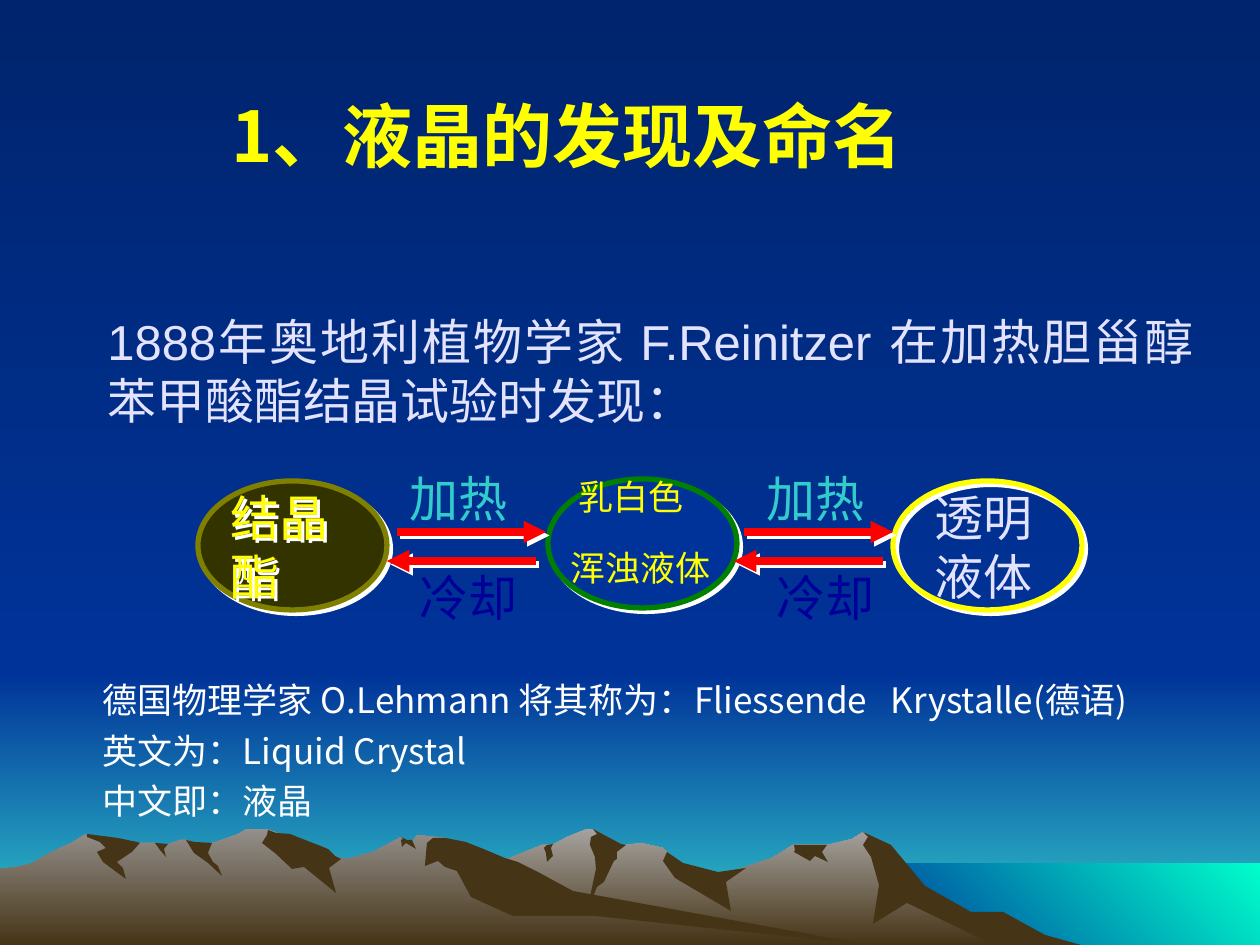
from lxml import etree
from pptx import Presentation
from pptx.dml.color import RGBColor
from pptx.enum.shapes import MSO_CONNECTOR, MSO_SHAPE
from pptx.enum.text import MSO_ANCHOR, MSO_AUTO_SIZE, PP_ALIGN
from pptx.oxml.ns import qn
from pptx.util import Pt

PX = 914400 / 126
RECTANGLE, OVAL = MSO_SHAPE.RECTANGLE, MSO_SHAPE.OVAL
STRAIGHT = MSO_CONNECTOR.STRAIGHT
LEFT, CENTER, JUSTIFY = PP_ALIGN.LEFT, PP_ALIGN.CENTER, PP_ALIGN.JUSTIFY
THEME = {
    "night": "001847", "sky": "00246D", "blue": "003399", "teal": "33CCCC",
    "sea": "00FFCC", "peak": "A5A29F", "near_peak": "938F8B", "earth": "463416",
    "yellow": "FFFF00", "pale": "E3E3FF", "white": "FFFFFF", "red": "FF0000",
    "navy": "000099", "olive": "808000", "dark_olive": "333300", "green": "008000",
    "sans": "Arial", "cjk": "Noto Sans CJK SC",
    "title": 40, "large": 28, "small": 20,
}
COLOR = {key: RGBColor.from_string(value) for key, value in THEME.items()
         if isinstance(value, str) and len(value) == 6}


def write(holder, box, lines, size, color, font="sans", align=LEFT, gap=0, bold=False):
    """Place a text holder at box (px) and fill it with equally styled paragraphs."""
    holder.left, holder.top, holder.width, holder.height = [round(v * PX) for v in box]
    frame = holder.text_frame
    frame.word_wrap = True
    frame.auto_size = MSO_AUTO_SIZE.NONE
    frame.text = "\n".join(lines)
    for number, paragraph in enumerate(frame.paragraphs):
        properties = paragraph._p.get_or_add_pPr()
        properties.set("marL", "0")
        properties.set("indent", "0")
        paragraph.alignment = align
        paragraph.space_before = Pt(gap if number else 0)
        etree.SubElement(properties, qn("a:buNone"))
        paragraph.font.name = THEME[font]
        paragraph.font.size = Pt(THEME[size])
        paragraph.font.bold = bold
        paragraph.font.color.rgb = COLOR[color]
        east_asian = etree.SubElement(paragraph.font._rPr, qn("a:ea"))
        east_asian.set("typeface", THEME["cjk"])
    return holder


def cast_shadow(item):
    """Give a shape or connector a hard white shadow to the lower right."""
    properties = item._element.spPr
    effects = properties.find(qn("a:effectLst"))
    if effects is None:
        effects = etree.SubElement(properties, qn("a:effectLst"))
    shadow = etree.SubElement(effects, qn("a:outerShdw"), blurRad="0",
                              dist=str(Pt(2.8)), dir="2700000", algn="ctr", rotWithShape="0")
    etree.SubElement(shadow, qn("a:srgbClr"), val=THEME["white"])


prs = Presentation()
prs.slide_width, prs.slide_height = round(1260 * PX), round(945 * PX)
slide = prs.slides.add_slide(prs.slide_layouts[1])
shapes = slide.shapes
title, naming = slide.placeholders

# Sky, horizon and sea
gradients = [(slide.background.fill, "night", "blue", 270)]
for box, start, end, angle in [
    ((0, 672, 1260, 273), "blue", "teal", 270),
    ((0, 0, 1260, 672), "sky", "blue", 270),
    ((861, 863, 399, 82), "blue", "sea", 45),
]:
    band = shapes.add_shape(RECTANGLE, *[round(v * PX) for v in box])
    band.shadow.inherit = False
    band.line.fill.background()
    gradients.append((band.fill, start, end, angle))

# Mountains: each ridge is followed by the shaded slopes lying on it
FAR_RIDGE = [
    (1011, 932), (980, 916), (963, 911), (911, 879), (885, 845), (863, 832), (852, 839),
    (827, 845), (793, 845), (772, 858), (713, 878), (675, 869), (667, 852), (663, 848),
    (641, 843), (626, 845), (612, 848), (597, 833), (593, 829), (586, 829), (567, 837),
    (552, 845), (542, 845), (527, 851), (510, 858), (496, 863), (447, 879), (412, 893),
    (349, 931), (325, 945), (1034, 945)]
FAR_SLOPES = [
    [(1003, 912), (971, 912), (925, 886), (891, 845), (863, 832), (868, 837), (863, 845),
     (871, 857), (879, 885), (873, 924), (907, 903), (994, 945), (1081, 945), (1045, 935)],
    [(593, 829), (597, 834), (591, 837), (590, 845), (595, 857), (596, 869), (586, 916),
     (597, 887), (604, 882), (614, 861), (617, 859), (617, 852), (626, 845), (621, 844)],
    [(667, 852), (663, 861), (675, 878), (731, 911), (726, 882), (746, 868), (718, 872),
     (683, 863)],
    [(819, 845), (794, 845), (795, 850), (794, 852), (810, 861), (815, 856), (828, 862),
     (822, 852), (827, 845)],
    [(546, 853), (544, 848), (547, 845), (553, 844), (551, 848), (553, 856), (547, 862)],
]
NEAR_RIDGE = [
    (869, 945), (840, 942), (544, 897), (446, 838), (417, 835), (412, 842), (407, 842),
    (401, 837), (373, 852), (352, 858), (341, 859), (328, 852), (297, 858), (281, 835),
    (276, 832), (267, 829), (246, 829), (238, 834), (227, 838), (212, 843), (202, 845),
    (186, 840), (180, 840), (166, 845), (161, 845), (155, 843), (140, 843), (118, 845),
    (86, 834), (71, 843), (58, 849), (44, 856), (33, 863), (18, 867), (0, 869), (0, 945)]
NEAR_SLOPES = [
    [(267, 835), (262, 843), (276, 854), (292, 869), (304, 867), (336, 893), (329, 868),
     (341, 859), (335, 856), (328, 849), (318, 845), (300, 838), (290, 834), (276, 833),
     (268, 830)],
    [(466, 842), (446, 838), (433, 838), (427, 843), (425, 866), (438, 861), (445, 867),
     (457, 871), (471, 897), (513, 916), (595, 916), (869, 945), (573, 891), (538, 872),
     (518, 862), (505, 858), (486, 850)],
    [(401, 840), (403, 839), (401, 837), (407, 840), (412, 840), (416, 849), (406, 843),
     (402, 847)],
    [(194, 842), (212, 843), (208, 853), (213, 862), (218, 866), (222, 876), (208, 863),
     (194, 853), (186, 840)],
    [(168, 844), (164, 849), (166, 857), (160, 850), (155, 843)],
    [(137, 842), (140, 843), (132, 852), (117, 862), (123, 868), (126, 879), (103, 862),
     (97, 852), (106, 848), (100, 842), (87, 837), (87, 834), (118, 838)],
]
for ridge, slopes, crest in [(FAR_RIDGE, FAR_SLOPES, "peak"),
                             (NEAR_RIDGE, NEAR_SLOPES, "near_peak")]:
    for outline in [ridge, *slopes]:
        builder = shapes.build_freeform(*outline[0], scale=PX)
        builder.add_line_segments(outline[1:], close=True)
        rock = builder.convert_to_shape()
        rock.shadow.inherit = False
        rock.line.fill.background()
        if outline is ridge:
            gradients.append((rock.fill, crest, "earth", 270))
        else:
            rock.fill.solid()
            rock.fill.fore_color.rgb = COLOR["earth"]

for fill, start, end, angle in gradients:
    fill.gradient()
    fill.gradient_angle = angle
    for stop, color in zip(fill.gradient_stops, (start, end)):
        stop.color.rgb = COLOR[color]

# Title and text, brought in front of the scenery
for holder in (title, naming):
    shapes._spTree.append(holder._element)
write(title, (0, 55, 1134, 158), ["1、液晶的发现及命名"], "title", "yellow", "cjk",
      CENTER, bold=True)
title.text_frame.vertical_anchor = MSO_ANCHOR.MIDDLE
write(naming, (90, 672, 1129, 180),
      ["德国物理学家 O.Lehmann 将其称为：Fliessende   Krystalle(德语)",
       "英文为：Liquid Crystal", "中文即：液晶"],
      "small", "white", "cjk", gap=5)
naming.text_frame.vertical_anchor = MSO_ANCHOR.TOP
write(shapes.add_textbox(0, 0, 0, 0), (95, 305, 1111, 130),
      ["1888年奥地利植物学家 F.Reinitzer 在加热胆甾醇苯甲酸酯结晶试验时发现："],
      "large", "pale", align=JUSTIFY)

# Three states
for (left, top), fill, outline, box, lines, size, color, font, gap in [
    ((198, 481), "dark_olive", "olive", (218, 481, 139, 130), ["结晶酯"],
     "large", "yellow", "sans", 0),
    ((548, 479), "blue", "green", (558, 469, 228, 144), ["乳白色", "浑浊液体"],
     "small", "yellow", "cjk", 17),
    ((893, 481), None, "yellow", (922, 481, 149, 130), ["透明液体"],
     "large", "pale", "sans", 0),
]:
    state = shapes.add_shape(OVAL, *[round(v * PX) for v in (left, top, 189, 129)])
    state.shadow.inherit = False
    if fill:
        state.fill.solid()
        state.fill.fore_color.rgb = COLOR[fill]
    else:
        state.fill.background()
    state.line.color.rgb = COLOR[outline]
    state.line.width = Pt(3)
    cast_shadow(state)
    caption = write(shapes.add_textbox(0, 0, 0, 0), box, lines, size, color, font, gap=gap)
    if fill == "dark_olive":
        cast_shadow(caption)
    if len(lines) > 1:
        caption.text_frame.paragraphs[0]._p.pPr.set("marL", str(round(8 * PX)))

# Heating runs to the right, cooling back to the left
for label, color, start, end, arrow_y, label_left, label_top in [
    ("加热", "teal", 397, 546, 532, 397, 462),
    ("冷却", "navy", 536, 387, 561, 407, 561),
]:
    for step in range(2):
        shift = 347 * step
        arrow = shapes.add_connector(STRAIGHT, *[
            round(v * PX) for v in (start + shift, arrow_y, end + shift, arrow_y)])
        arrow.line.color.rgb = COLOR["red"]
        arrow.line.width = Pt(4.25)
        etree.SubElement(arrow.line._get_or_add_ln(), qn("a:tailEnd"), type="triangle")
        cast_shadow(arrow)
        write(shapes.add_textbox(0, 0, 0, 0), (label_left + 357 * step, label_top, 149, 72),
              [label], "large", color)

prs.save("out.pptx")
